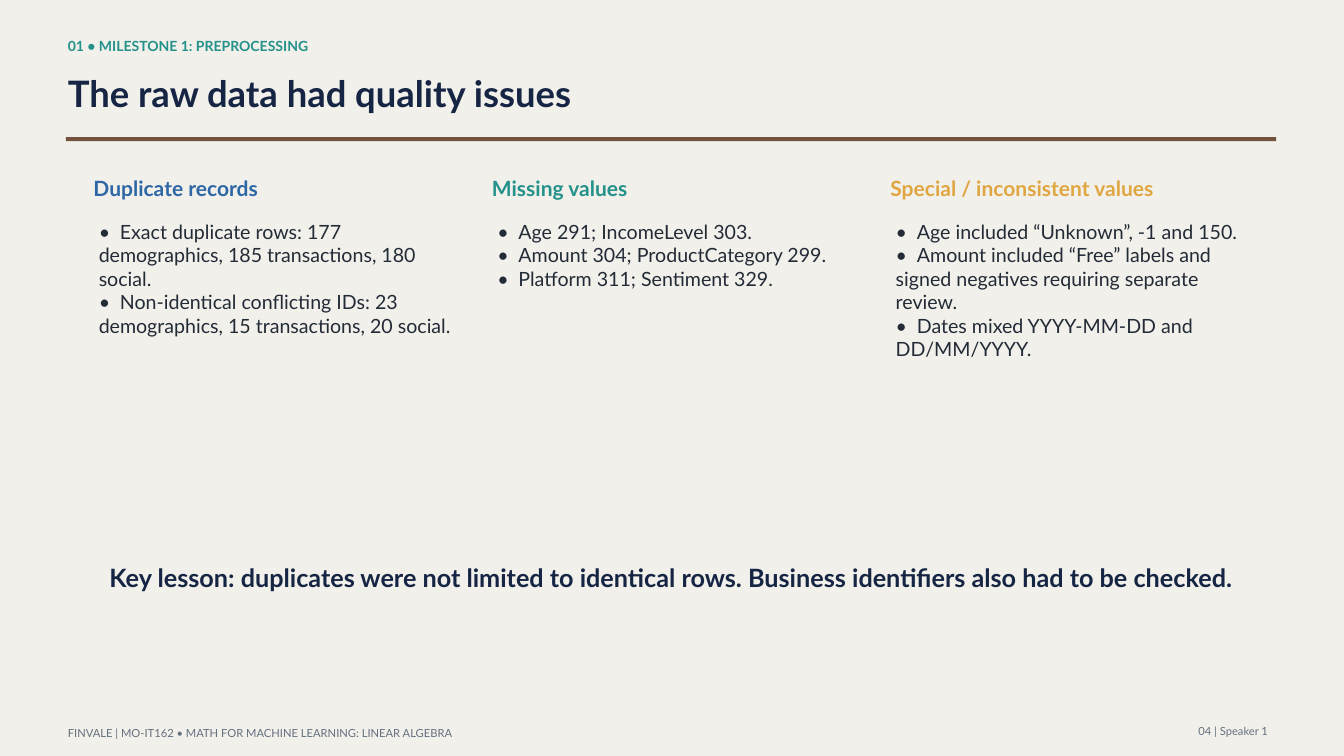
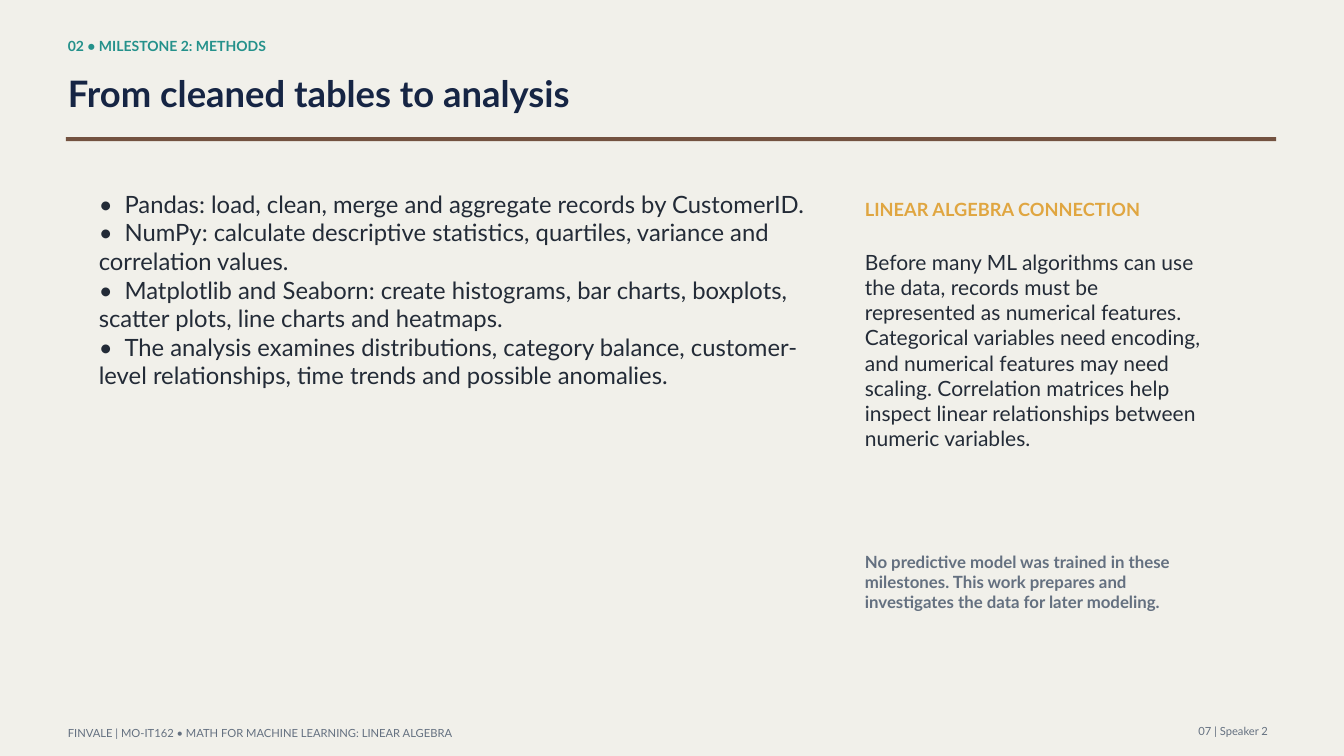
from pptx import Presentation
from pptx.dml.color import RGBColor
from pptx.enum.shapes import MSO_SHAPE
from pptx.enum.text import MSO_AUTO_SIZE, PP_ALIGN
from pptx.oxml.xmlchemy import OxmlElement
from pptx.util import Inches, Pt

FONT = "Lato"
PAPER = RGBColor(0xF1, 0xF0, 0xEA)
NAVY = RGBColor(0x16, 0x25, 0x44)
TEAL = RGBColor(0x24, 0x91, 0x8B)
BLUE = RGBColor(0x2E, 0x67, 0xA6)
AMBER = RGBColor(0xE0, 0xA6, 0x41)
BROWN = RGBColor(0x73, 0x52, 0x40)
INK = RGBColor(0x23, 0x2B, 0x37)
GREY = RGBColor(0x64, 0x70, 0x80)

SLIDE_WIDTH, SLIDE_HEIGHT = 20, 11.25
LINE_HEIGHT = 1.2  # line pitch as a multiple of the text size
BULLET_GAP = 0.015  # inches from bullet to text, per point of text size
MARGIN = 1.01
COLUMN_LEFT, COLUMN_PITCH = 1.39, 5.93
BODY_INSET = 0.08

FOOTER = "FINVALE | MO-IT162 • MATH FOR MACHINE LEARNING: LINEAR ALGEBRA"

ISSUES = {
    "section": "01 • MILESTONE 1: PREPROCESSING",
    "title": "The raw data had quality issues",
    "speaker": "04 | Speaker 1",
}
ISSUE_COLUMNS = [
    ("Duplicate records", BLUE, [
        "Exact duplicate rows: 177 demographics, 185 transactions, 180 social.",
        "Non-identical conflicting IDs: 23 demographics, 15 transactions, 20 social.",
    ]),
    ("Missing values", TEAL, [
        "Age 291; IncomeLevel 303.",
        "Amount 304; ProductCategory 299.",
        "Platform 311; Sentiment 329.",
    ]),
    ("Special / inconsistent values", AMBER, [
        "Age included “Unknown”, -1 and 150.",
        "Amount included “Free” labels and signed negatives requiring separate review.",
        "Dates mixed YYYY-MM-DD and DD/MM/YYYY.",
    ]),
]
KEY_LESSON = ("Key lesson: duplicates were not limited to identical rows. "
              "Business identifiers also had to be checked.")

METHODS = {
    "section": "02 • MILESTONE 2: METHODS",
    "title": "From cleaned tables to analysis",
    "speaker": "07 | Speaker 2",
}
METHOD_STEPS = [
    "Pandas: load, clean, merge and aggregate records by CustomerID.",
    "NumPy: calculate descriptive statistics, quartiles, variance and correlation values.",
    "Matplotlib and Seaborn: create histograms, bar charts, boxplots, scatter plots, "
    "line charts and heatmaps.",
    "The analysis examines distributions, category balance, customer-level relationships, "
    "time trends and possible anomalies.",
]
CONNECTION_HEADING = "LINEAR ALGEBRA CONNECTION"
CONNECTION_TEXT = (
    "Before many ML algorithms can use the data, records must be represented as numerical "
    "features. Categorical variables need encoding, and numerical features may need scaling. "
    "Correlation matrices help inspect linear relationships between numeric variables.")
CONNECTION_NOTE = ("No predictive model was trained in these milestones. "
                   "This work prepares and investigates the data for later modeling.")


def add_text(slide, box, lines, size, color, bold=False, align=PP_ALIGN.LEFT):
    """Add an unpadded text box; box is left, top, width, height in inches."""
    text_frame = slide.shapes.add_textbox(*map(Inches, box)).text_frame
    text_frame.margin_left = text_frame.margin_right = 0
    text_frame.margin_top = text_frame.margin_bottom = 0
    text_frame.word_wrap = True
    text_frame.auto_size = MSO_AUTO_SIZE.SHAPE_TO_FIT_TEXT
    text_frame.text = "\n".join(lines)
    for paragraph in text_frame.paragraphs:
        paragraph.alignment = align
        paragraph.line_spacing = Pt(size * LINE_HEIGHT)
        for run in paragraph.runs:
            run.font.name = FONT
            run.font.size = Pt(size)
            run.font.bold = bold
            run.font.color.rgb = color
    return text_frame


def add_bullets(slide, box, items, size):
    """Add bulleted lines whose wrapped text returns to the bullet's edge."""
    text_frame = add_text(slide, box, [f"•\t{item}" for item in items], size, INK)
    for paragraph in text_frame.paragraphs:
        tab_list = OxmlElement("a:tabLst")
        tab = OxmlElement("a:tab")
        tab.set("pos", str(Inches(size * BULLET_GAP)))
        tab.set("algn", "l")
        tab_list.append(tab)
        paragraph._p.get_or_add_pPr().append(tab_list)


def add_block(slide, box, color):
    """Add a plain filled rectangle; box is left, top, width, height in inches."""
    block = slide.shapes.add_shape(MSO_SHAPE.RECTANGLE, *map(Inches, box))
    block.shadow.inherit = False
    block.fill.solid()
    block.fill.fore_color.rgb = color
    block.line.fill.background()


def add_framed_slide(presentation, section, title, speaker):
    """Add a slide with the shared paper, header, rule and footer."""
    slide = presentation.slides.add_slide(presentation.slide_layouts[6])
    add_block(slide, (0, 0, SLIDE_WIDTH, SLIDE_HEIGHT), PAPER)
    add_text(slide, (MARGIN, 0.56, 17.63, 0.33), [section], 15, TEAL, bold=True)
    add_text(slide, (MARGIN, 1.06, 17.93, 0.82), [title], 39, NAVY, bold=True)
    add_block(slide, (0.98, 2.04, 18.01, 0.06), BROWN)
    add_text(slide, (MARGIN, 10.81, 13.43, 0.19), [FOOTER], 12, GREY)
    add_text(slide, (15.35, 10.78, 3.52, 0.22), [speaker], 12, GREY, align=PP_ALIGN.RIGHT)
    return slide


def add_issues_slide(presentation):
    slide = add_framed_slide(presentation, **ISSUES)
    for index, (heading, color, items) in enumerate(ISSUE_COLUMNS):
        left = COLUMN_LEFT + index * COLUMN_PITCH
        add_text(slide, (left, 2.61, 5.17, 0.43), [heading], 22.5, color, bold=True)
        add_bullets(slide, (left + BODY_INSET, 3.27, 5.27, 2.61), items, 21)
    add_text(slide, (1.54, 8.37, 16.88, 1), [KEY_LESSON], 27, NAVY,
             bold=True, align=PP_ALIGN.CENTER)


def add_methods_slide(presentation):
    slide = add_framed_slide(presentation, **METHODS)
    add_bullets(slide, (COLUMN_LEFT + BODY_INSET, 2.82, 10.58, 5.6), METHOD_STEPS, 25.5)
    left, width = 12.87, 5.1
    add_text(slide, (left, 2.95, width, 0.48), [CONNECTION_HEADING], 19.5, AMBER, bold=True)
    add_text(slide, (left, 3.71, width, 4.08), [CONNECTION_TEXT], 22.5, INK)
    add_text(slide, (left, 8.21, width, 1.08), [CONNECTION_NOTE], 18, GREY, bold=True)


def main():
    presentation = Presentation()
    presentation.slide_width = Inches(SLIDE_WIDTH)
    presentation.slide_height = Inches(SLIDE_HEIGHT)
    add_issues_slide(presentation)
    add_methods_slide(presentation)
    presentation.save("out.pptx")


if __name__ == "__main__":
    main()
